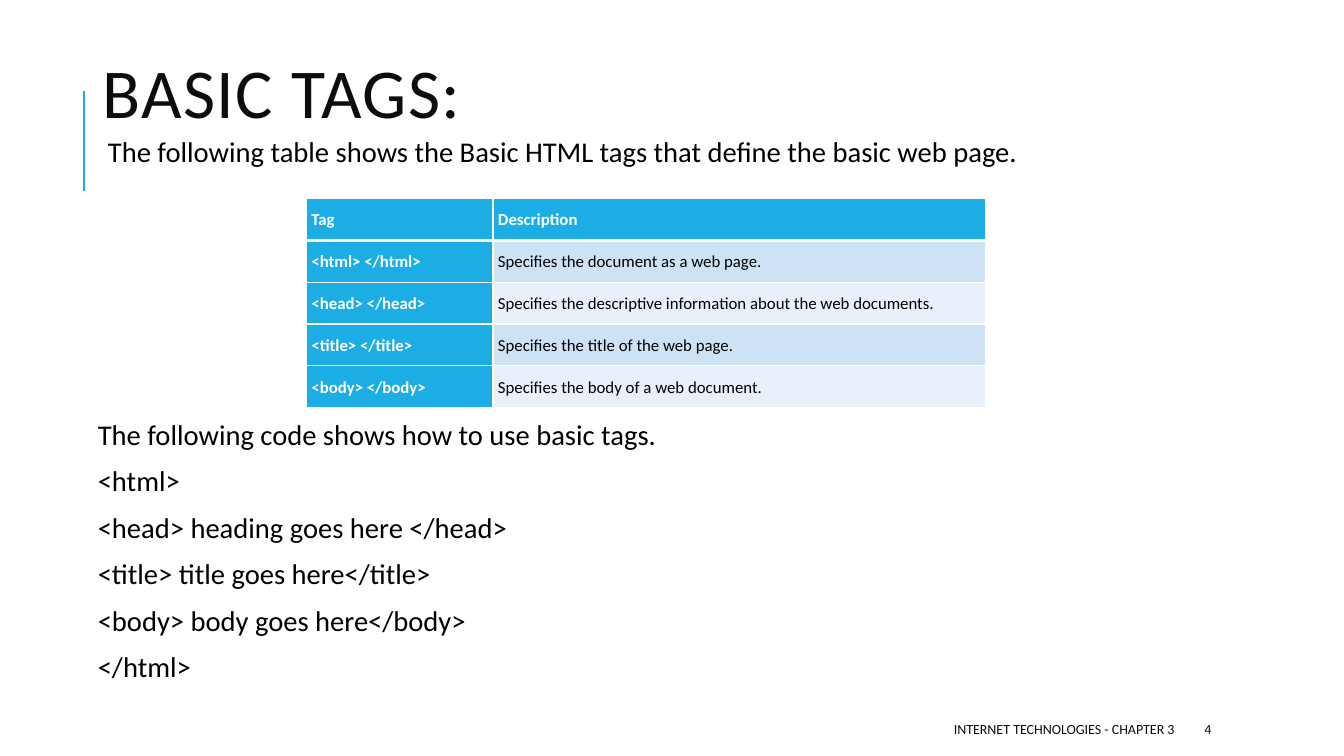
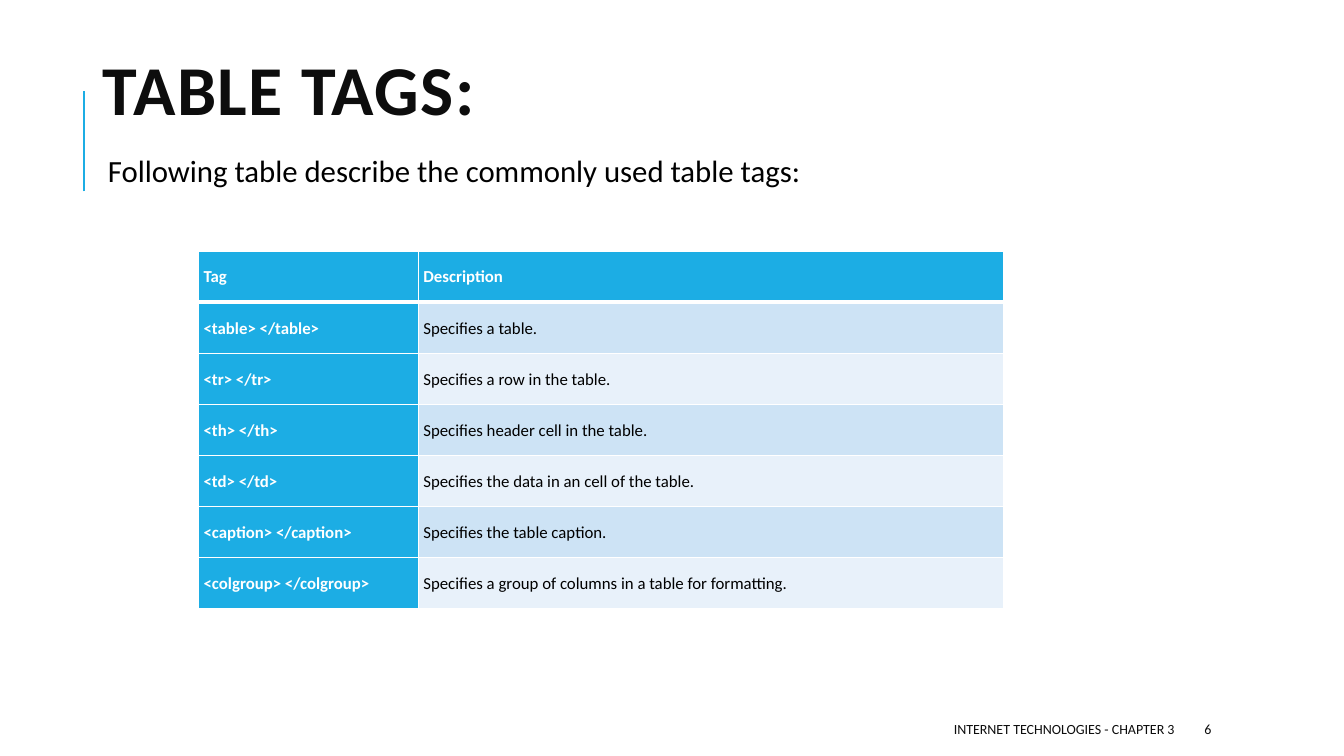
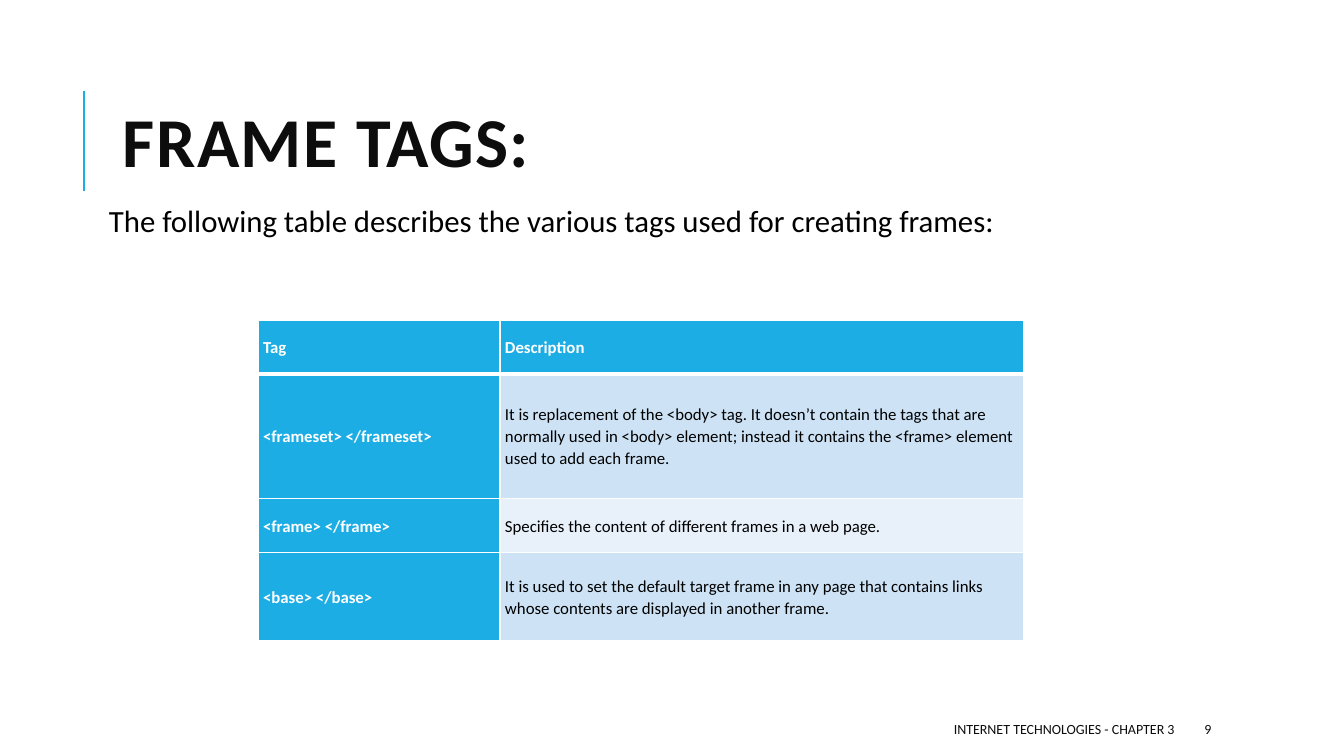
import pptx
import pptx.dml.color
import pptx.enum.shapes
import pptx.enum.text
import pptx.oxml.ns
import pptx.util
from lxml import etree

FONT = "Calibri"
ACCENT = pptx.dml.color.RGBColor(0x1C, 0xAD, 0xE4)
BAND_DARK = pptx.dml.color.RGBColor(0xCD, 0xE3, 0xF5)
BAND_LIGHT = pptx.dml.color.RGBColor(0xE8, 0xF1, 0xFA)
HEADING = pptx.dml.color.RGBColor(0x0D, 0x0D, 0x0D)
BLACK = pptx.dml.color.RGBColor(0, 0, 0)
WHITE = pptx.dml.color.RGBColor(255, 255, 255)
LEFT, RIGHT = pptx.enum.text.PP_ALIGN.LEFT, pptx.enum.text.PP_ALIGN.RIGHT
TOP, MIDDLE = pptx.enum.text.MSO_ANCHOR.TOP, pptx.enum.text.MSO_ANCHOR.MIDDLE
FOOTER = "INTERNET TECHNOLOGIES - CHAPTER 3"

presentation = pptx.Presentation()
presentation.slide_width = pptx.util.Inches(13.333)
presentation.slide_height = pptx.util.Inches(7.5)

# The slide is a grid of 100 columns by 100 rows
COLUMN = presentation.slide_width / 100
ROW = presentation.slide_height / 100

# Places are left, top, width, height in columns and rows
SLIDES = [
    {
        "number": "4",
        "title": "BASIC TAGS:", "title_bold": False,
        "title_place": (6.9, 5.33, 86.25, 15.47),
        "intro": "The following table shows the Basic HTML tags that define the basic web page.",
        "intro_place": (6.9, 18, 86.25, 7), "intro_size": 20.4, "intro_spacing": 0.8,
        "table_corner": (22.8, 26.27),
        "column_widths": (13.88, 36.68),
        "row_heights": [5.53] * 5,
        "tags": [
            ("<html> </html>", "Specifies the document as a web page."),
            ("<head> </head>", "Specifies the descriptive information about the web documents."),
            ("<title> </title>", "Specifies the title of the web page."),
            ("<body> </body>", "Specifies the body of a web document."),
        ],
        "code": [
            "The following code shows how to use basic tags.",
            "<html>",
            "<head> heading goes here </head>",
            "<title> title goes here</title>",
            "<body> body goes here</body>",
            "</html>",
        ],
    },
    {
        "number": "6",
        "title": "TABLE TAGS:", "title_bold": True,
        "title_place": (6.9, 5.33, 86.25, 14.67),
        "intro": "Following table describe the commonly used table tags:",
        "intro_place": (6.9, 20, 86.25, 7), "intro_size": 22, "intro_spacing": 0.9,
        "table_corner": (14.78, 33.2),
        "column_widths": (16.35, 43.58),
        "row_heights": [6.76] * 7,
        "tags": [
            ("<table> </table>", "Specifies a table."),
            ("<tr> </tr>", "Specifies a row in the table."),
            ("<th> </th>", "Specifies header cell in the table."),
            ("<td> </td>", "Specifies the data in an cell of the table."),
            ("<caption> </caption>", "Specifies the table caption."),
            ("<colgroup> </colgroup>", "Specifies a group of columns in a table for formatting."),
        ],
        "code": [],
    },
    {
        "number": "9",
        "title": "FRAME TAGS:", "title_bold": True,
        "title_place": (8.4, 8.53, 79.73, 21.87),
        "intro": "The following table describes the various tags used for creating frames:",
        "intro_place": (6.98, 26.53, 86.25, 7), "intro_size": 22, "intro_spacing": 0.9,
        "table_corner": (19.2, 42.4),
        "column_widths": (18, 38.93),
        "row_heights": [7.07, 16.53, 7.07, 11.73],
        "tags": [
            ("<frameset> </frameset>",
             "It is replacement of the <body> tag. It doesn’t contain the tags that are "
             "normally used in <body> element; instead it contains the <frame> element "
             "used to add each frame."),
            ("<frame> </frame>", "Specifies the content of different frames in a web page."),
            ("<base> </base>",
             "It is used to set the default target frame in any page that contains links "
             "whose contents are displayed in another frame."),
        ],
        "code": [],
    },
]


def add_text(slide, place, lines, size, color, bold=False, align=LEFT, anchor=MIDDLE,
             spacing=1.0, inset_left=0.1, inset_top=0.05, tracking=0):
    """Add a text box with one paragraph for each line."""
    left, top, width, height = place
    box = slide.shapes.add_textbox(int(left * COLUMN), int(top * ROW),
                                   int(width * COLUMN), int(height * ROW))
    frame = box.text_frame
    frame.word_wrap = True
    frame.vertical_anchor = anchor
    frame.margin_left = pptx.util.Inches(inset_left)
    frame.margin_top = pptx.util.Inches(inset_top)
    frame.text = "\n".join(lines)
    for index, paragraph in enumerate(frame.paragraphs):
        paragraph.alignment = align
        paragraph.line_spacing = spacing
        if index:
            paragraph.space_before = pptx.util.Pt(13.6)
        font = paragraph.runs[0].font
        font.name, font.size, font.bold = FONT, pptx.util.Pt(size), bold
        font.color.rgb = color
        if tracking:
            paragraph.runs[0]._r.get_or_add_rPr().set("spc", str(tracking))


def add_border(cell, side, points):
    """Give one side of a table cell a white line."""
    properties = cell._tc.get_or_add_tcPr()
    line = etree.SubElement(properties, pptx.oxml.ns.qn("a:" + side),
                            w=str(pptx.util.Pt(points)))
    fill = etree.SubElement(line, pptx.oxml.ns.qn("a:solidFill"))
    etree.SubElement(fill, pptx.oxml.ns.qn("a:srgbClr"), val=str(WHITE))


for content in SLIDES:
    slide = presentation.slides.add_slide(presentation.slide_layouts[6])

    # Accent line beside the title
    accent_line = slide.shapes.add_connector(
        pptx.enum.shapes.MSO_CONNECTOR.STRAIGHT,
        int(6.25 * COLUMN), int(25.33 * ROW), int(6.25 * COLUMN), int(12 * ROW))
    accent_line.line.color.rgb = ACCENT
    accent_line.line.width = pptx.util.Pt(1.5)
    etree.SubElement(accent_line._element.spPr, pptx.oxml.ns.qn("a:effectLst"))

    # Title, introduction and code
    add_text(slide, content["title_place"], [content["title"]], 50, HEADING,
             bold=content["title_bold"], spacing=0.8, tracking=100)
    add_text(slide, content["intro_place"], [content["intro"]], content["intro_size"], BLACK,
             anchor=TOP, spacing=content["intro_spacing"], inset_left=0.15)
    if content["code"]:
        add_text(slide, (6.9, 55.33, 86.25, 38), content["code"], 20.4, BLACK,
                 anchor=TOP, spacing=0.8, inset_left=0.05)

    # Footer and slide number
    add_text(slide, (39.75, 94.4, 48.38, 4), [FOOTER], 10, HEADING, align=RIGHT)
    add_text(slide, (88.88, 94.4, 7.95, 4), [content["number"]], 10, HEADING)

    # Table of tags
    rows = [("Tag", "Description")] + content["tags"]
    widths, heights = content["column_widths"], content["row_heights"]
    left, top = content["table_corner"]
    table = slide.shapes.add_table(
        len(rows), len(widths), int(left * COLUMN), int(top * ROW),
        int(sum(widths) * COLUMN), int(sum(heights) * ROW)).table
    for table_column, width in zip(table.columns, widths):
        table_column.width = int(width * COLUMN)
    for row_index, (texts, height) in enumerate(zip(rows, heights)):
        table.rows[row_index].height = int(height * ROW)
        for column_index, text in enumerate(texts):
            cell = table.cell(row_index, column_index)
            is_heading = row_index == 0 or column_index == 0
            add_border(cell, "lnL", 1)
            add_border(cell, "lnR", 1)
            add_border(cell, "lnT", 3 if row_index == 1 else 1)
            add_border(cell, "lnB", 3 if row_index == 0 else 1)
            cell.fill.solid()
            band = BAND_DARK if row_index % 2 else BAND_LIGHT
            cell.fill.fore_color.rgb = ACCENT if is_heading else band
            cell.vertical_anchor = MIDDLE
            cell.margin_left = cell.margin_right = pptx.util.Inches(0.05)
            cell.margin_top = cell.margin_bottom = pptx.util.Inches(0.05)
            cell.text_frame.text = text
            paragraph = cell.text_frame.paragraphs[0]
            paragraph.line_spacing = 1.07
            font = paragraph.runs[0].font
            font.name, font.size, font.bold = FONT, pptx.util.Pt(12), is_heading
            font.color.rgb = WHITE if is_heading else BLACK

presentation.save("out.pptx")
